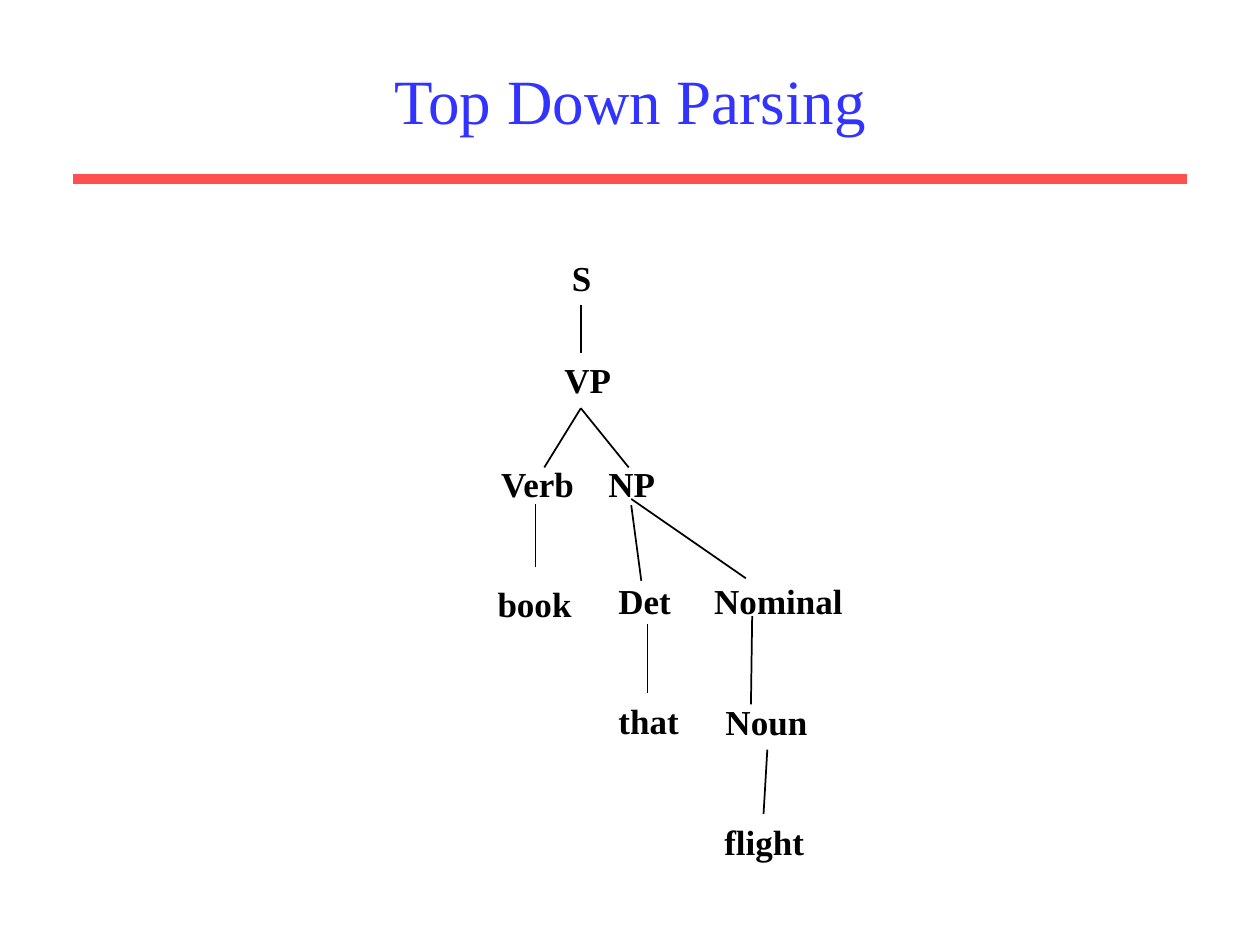
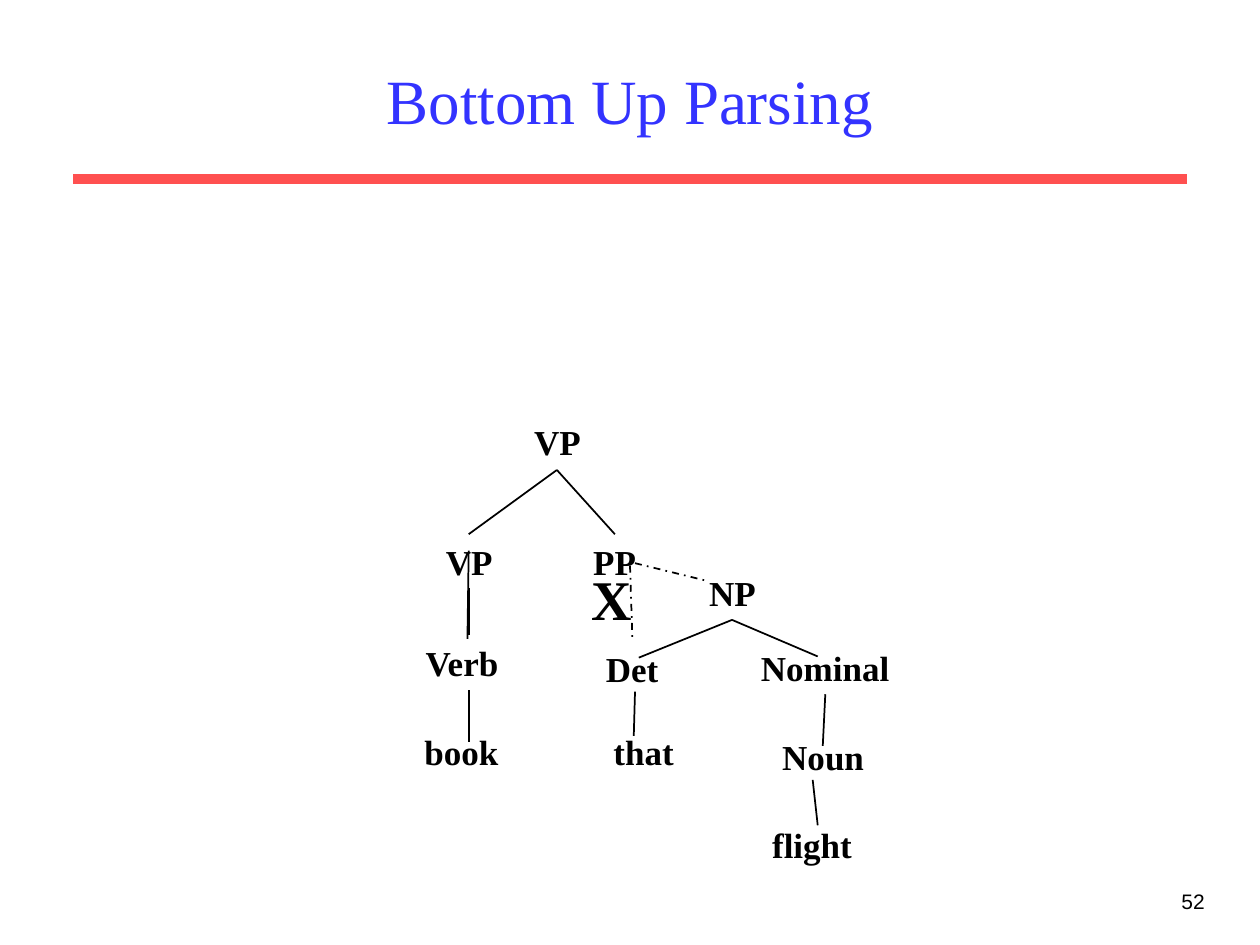
"""Build two slides that compare top-down and bottom-up parse trees."""
import pptx
import pptx.dml.color
import pptx.enum.dml
import pptx.enum.shapes
import pptx.enum.text
import pptx.util
from pptx.util import Inches
from lxml import etree

SERIF = "Times New Roman"
SANS = "Arial"
BLACK = "000000"
TITLE_BLUE = "3333FF"
RULE_RED = "FF5050"
TITLE_ONLY = 5
Align = pptx.enum.text.PP_ALIGN
LABEL_WIDTHS = {
    "S": 0.36, "VP": 0.58, "NP": 0.58, "PP": 0.56, "Verb": 0.87,
    "Det": 0.64, "Nominal": 1.24, "Noun": 0.87,
    "book": 0.81, "that": 0.7, "flight": 0.86, "X": 0.54,
}


def color(value):
    return pptx.dml.color.RGBColor.from_string(value)


def write(shape, text, size=20, font=SERIF, fill=BLACK, bold=False, align=Align.LEFT):
    para = shape.text_frame.paragraphs[0]
    para.alignment = align
    span = para.add_run()
    span.text = text
    span.font.size = pptx.util.Pt(size)
    span.font.name = font
    span.font.bold = bold
    span.font.color.rgb = color(fill)


class TreeDeck:
    def __init__(self):
        self.deck = pptx.Presentation()
        self.deck.slide_width = Inches(10)
        self.deck.slide_height = Inches(7.5)
        self.page = None

    def add_page(self, title):
        self.page = self.deck.slides.add_slide(self.deck.slide_layouts[TITLE_ONLY])
        heading = self.page.shapes.title
        heading.left, heading.top = Inches(0.75), Inches(0.25)
        heading.width, heading.height = Inches(8.5), Inches(1.08)
        frame = heading.text_frame
        frame.auto_size = pptx.enum.text.MSO_AUTO_SIZE.NONE
        frame.vertical_anchor = pptx.enum.text.MSO_ANCHOR.MIDDLE
        write(heading, title, size=36, fill=TITLE_BLUE, align=Align.CENTER)
        self.line(0.58, 1.42, 9.42, 1.42, stroke=RULE_RED, weight=6)

    def line(self, x1, y1, x2, y2, stroke=BLACK, weight=1, dash=None):
        connector = self.page.shapes.add_connector(
            pptx.enum.shapes.MSO_CONNECTOR.STRAIGHT,
            Inches(x1), Inches(y1), Inches(x2), Inches(y2))
        connector.line.color.rgb = color(stroke)
        connector.line.width = pptx.util.Pt(weight)
        if dash:
            connector.line.dash_style = dash
        properties = connector._element.spPr
        etree.SubElement(properties, pptx.oxml.ns.qn("a:effectLst"))

    def branches(self, segments, dash=None):
        for segment in segments:
            self.line(*segment, dash=dash)

    def label(self, text, left, top, size=20, height=0.44):
        box = self.page.shapes.add_textbox(
            Inches(left), Inches(top), Inches(LABEL_WIDTHS[text]), Inches(height))
        box.text_frame.word_wrap = False
        box.text_frame.auto_size = pptx.enum.text.MSO_AUTO_SIZE.SHAPE_TO_FIT_TEXT
        write(box, text, size=size, bold=True)

    def labels(self, nodes):
        for node in nodes:
            self.label(*node)

    def page_number(self, text):
        box = self.page.shapes.add_textbox(
            Inches(7.58), Inches(7), Inches(2.08), Inches(0.5))
        box.text_frame.word_wrap = True
        write(box, text, size=12, font=SANS, align=Align.RIGHT)


def add_top_down(tree):
    tree.add_page("Top Down Parsing")
    tree.labels([
        ("S", 4.44, 1.99),
        ("VP", 4.38, 2.8),
        ("Verb", 3.88, 3.62), ("NP", 4.73, 3.62),
        ("book", 3.85, 4.57), ("Det", 4.81, 4.55), ("Nominal", 5.57, 4.55),
        ("that", 4.81, 5.5), ("Noun", 5.66, 5.51),
        ("flight", 5.65, 6.46),
    ])
    tree.branches([
        (4.61, 2.42, 4.61, 2.8),
        (4.61, 3.24, 4.32, 3.71), (4.61, 3.24, 4.99, 3.71),
        (4.25, 4, 4.25, 4.5),
        (5.01, 4.01, 5.09, 4.61), (5.01, 3.96, 5.92, 4.59),
        (5.14, 4.95, 5.14, 5.5),
        (5.97, 4.89, 5.96, 5.59),
        (6.09, 5.95, 6.06, 6.46),
    ])


def add_bottom_up(tree):
    tree.add_page("Bottom Up Parsing")
    tree.page_number("52")
    tree.labels([
        ("VP", 4.14, 3.29),
        ("VP", 3.44, 4.24), ("PP", 4.61, 4.24), ("NP", 5.53, 4.49),
        ("Verb", 3.28, 5.04), ("Det", 4.71, 5.09), ("Nominal", 5.94, 5.08),
        ("book", 3.27, 5.75), ("that", 4.77, 5.75), ("Noun", 6.11, 5.79),
        ("flight", 6.03, 6.49),
    ])
    tree.label("X", 4.6, 4.43, size=32, height=0.64)
    tree.branches([
        (4.42, 3.73, 3.72, 4.24), (4.42, 3.73, 4.88, 4.24),
        (3.72, 4.67, 3.72, 5.04), (3.72, 4.37, 3.71, 5.07),
        (3.72, 5.48, 3.72, 5.89),
        (5.81, 4.92, 5.07, 5.22), (5.81, 4.92, 6.49, 5.21),
        (5.04, 5.49, 5.03, 5.84),
        (6.55, 5.51, 6.53, 5.92),
        (6.45, 6.19, 6.49, 6.55),
    ])
    tree.branches([(5, 4.49, 5.02, 5.09), (5.04, 4.47, 5.61, 4.61)],
                  dash=pptx.enum.dml.MSO_LINE.DASH_DOT)


def main():
    tree = TreeDeck()
    add_top_down(tree)
    add_bottom_up(tree)
    tree.deck.save("out.pptx")


if __name__ == "__main__":
    main()
